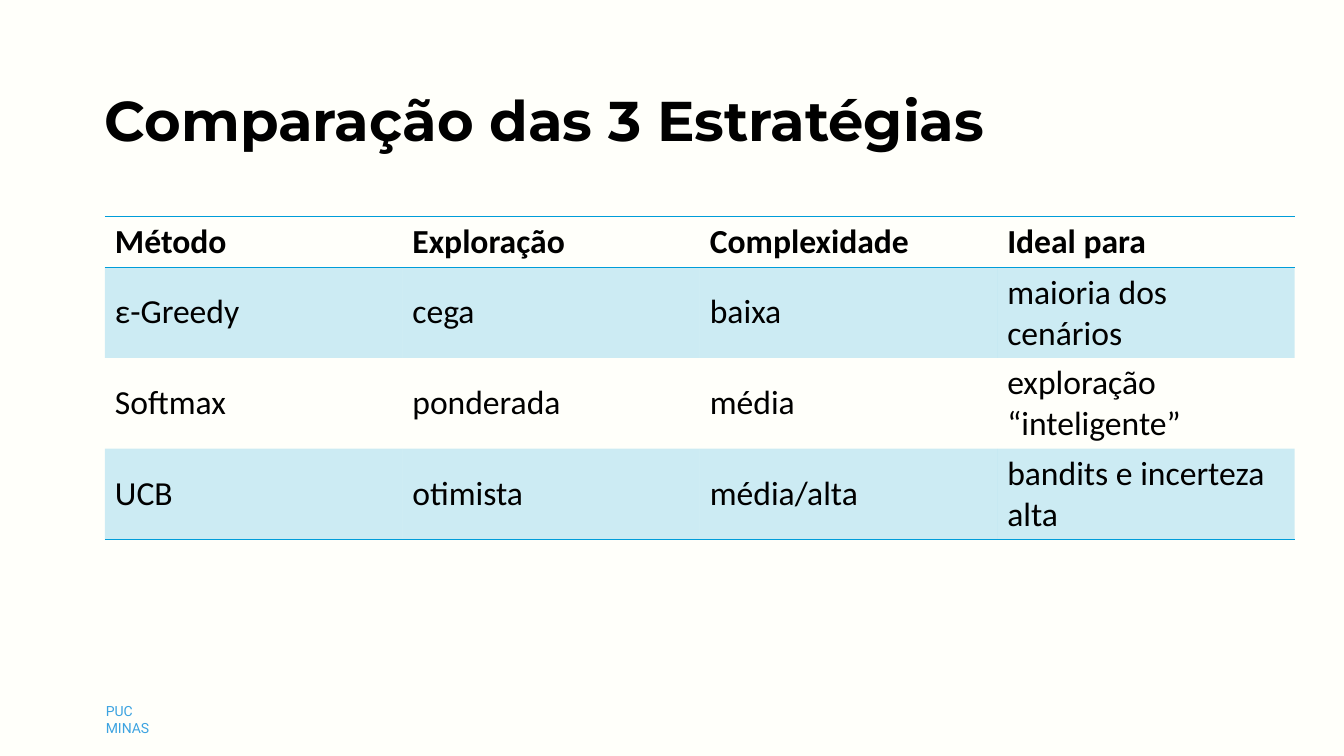
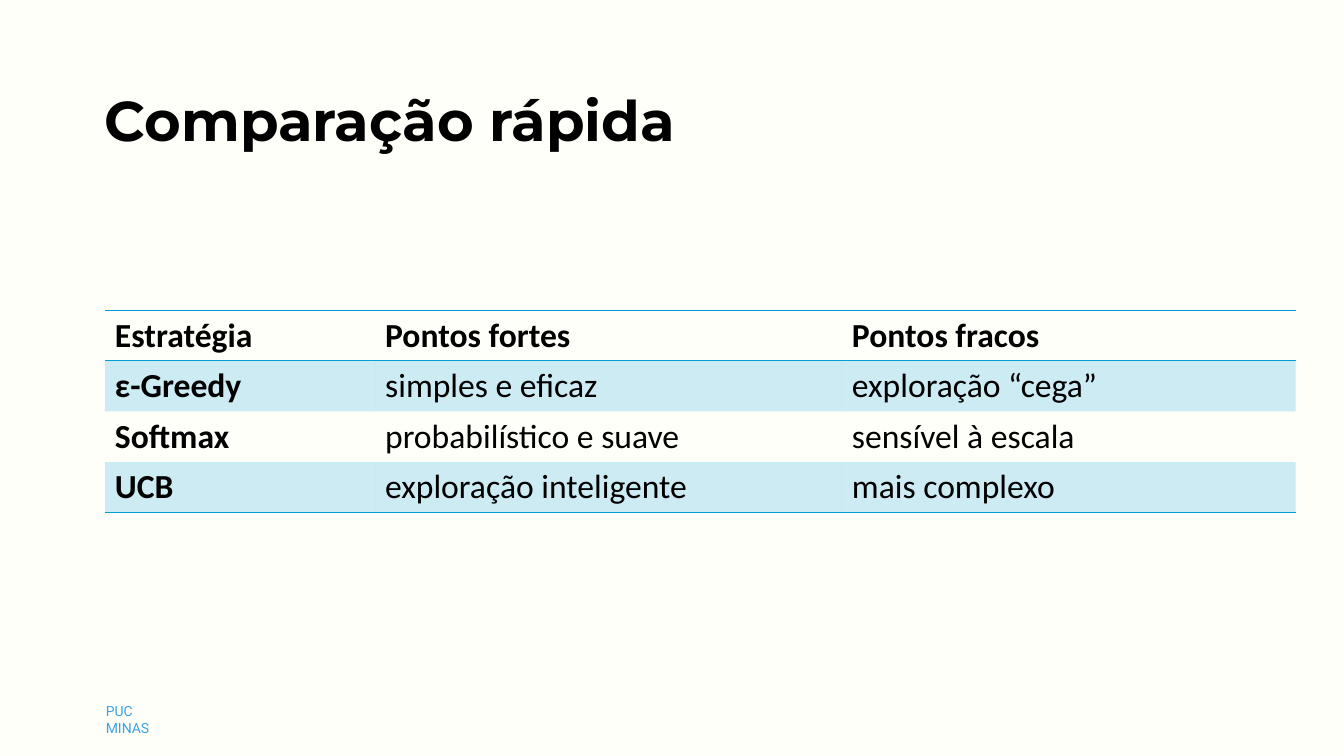
import lxml.etree
import pptx
import pptx.dml.color
import pptx.enum.text
import pptx.oxml.ns
import pptx.util

Inches = pptx.util.Inches
Pt = pptx.util.Pt
qn = pptx.oxml.ns.qn

PAPER = "FFFFFA"
INK = "000000"
ACCENT = "009DD9"
FOOTER = "3CA3E1"
PLAIN_TABLE_STYLE = "{2D5ABB26-0587-4C30-8999-92F81FD0307C}"
TITLE_ONLY = 5


def rgb(hex_color):
    return pptx.dml.color.RGBColor.from_string(hex_color)


class Deck:
    """Holds the presentation, its shared style and the current slide."""

    def __init__(self):
        self.prs = pptx.Presentation()
        self.prs.slide_width = Inches(13.33)
        self.prs.slide_height = Inches(7.5)
        paper = self.prs.slide_master.background.fill
        paper.solid()
        paper.fore_color.rgb = rgb(PAPER)
        self.slide = None

    def add_slide(self, title):
        self.slide = self.prs.slides.add_slide(self.prs.slide_layouts[TITLE_ONLY])
        self.footer("PUC MINAS")
        self.title(title)

    def add_text(self, frame, text, font, size, color, bold=False):
        paragraph = frame.paragraphs[0]
        paragraph.alignment = pptx.enum.text.PP_ALIGN.LEFT
        run = paragraph.add_run()
        run.text = text
        run.font.name = font
        run.font.size = Pt(size)
        run.font.bold = bold
        run.font.color.rgb = rgb(color)

    def title(self, text):
        heading = self.slide.shapes.title
        heading.left, heading.top = Inches(0.94), Inches(0.8)
        heading.width, heading.height = Inches(11.61), Inches(0.77)
        frame = heading.text_frame
        frame.auto_size = pptx.enum.text.MSO_AUTO_SIZE.NONE
        frame.vertical_anchor = pptx.enum.text.MSO_ANCHOR.MIDDLE
        self.add_text(frame, text, "Montserrat", 40, INK, bold=True)

    def footer(self, text):
        frame = self.slide.shapes.add_textbox(
            Inches(1.05), Inches(6.97), Inches(0.66), Inches(0.17)).text_frame
        frame.margin_left = frame.margin_right = 0
        frame.margin_top = frame.margin_bottom = 0
        frame.word_wrap = True
        self.add_text(frame, text, "Roboto", 10, FOOTER)

    def rule(self, cell, edge):
        """Draw a 1 pt line on one edge of a cell: lnT (top) or lnB (bottom)."""
        line = lxml.etree.SubElement(
            cell._tc.get_or_add_tcPr(), qn(f"a:{edge}"), w=str(Pt(1)))
        fill = lxml.etree.SubElement(line, qn("a:solidFill"))
        lxml.etree.SubElement(fill, qn("a:srgbClr"), val=ACCENT)

    def tint(self, cell):
        """Fill a cell with the accent colour at 20 % opacity."""
        cell.fill.solid()
        cell.fill.fore_color.rgb = rgb(ACCENT)
        color = cell._tc.tcPr.find(f"{qn('a:solidFill')}/{qn('a:srgbClr')}")
        lxml.etree.SubElement(color, qn("a:alpha"), val="20000")

    def table(self, top, widths, row_height, rows, bold_first_column=False):
        """Add a ruled table with a header row and tinted odd rows."""
        header_height = 0.5
        height = header_height + row_height * (len(rows) - 1)
        table = self.slide.shapes.add_table(
            len(rows), len(widths), Inches(1.04), Inches(top),
            Inches(sum(widths)), Inches(height)).table
        table._tbl.tblPr.find(qn("a:tableStyleId")).text = PLAIN_TABLE_STYLE
        for column, width in zip(table.columns, widths):
            column.width = Inches(width)
        for r, texts in enumerate(rows):
            is_header = r == 0
            table.rows[r].height = Inches(header_height if is_header else row_height)
            for c, text in enumerate(texts):
                cell = table.cell(r, c)
                cell.vertical_anchor = pptx.enum.text.MSO_ANCHOR.MIDDLE
                bold = is_header or (bold_first_column and c == 0)
                self.add_text(cell.text_frame, text, "Calibri", 24, INK, bold)
                if is_header:
                    self.rule(cell, "lnT")
                if is_header or r == len(rows) - 1:
                    self.rule(cell, "lnB")
                if r % 2:
                    self.tint(cell)
                else:
                    cell.fill.background()


def main():
    deck = Deck()

    deck.add_slide("Comparação das 3 Estratégias")
    deck.table(2.15, [2.95] * 4, 0.9, [
        ["Método", "Exploração", "Complexidade", "Ideal para"],
        ["ε-Greedy", "cega", "baixa", "maioria dos cenários"],
        ["Softmax", "ponderada", "média", "exploração “inteligente”"],
        ["UCB", "otimista", "média/alta", "bandits e incerteza alta"],
    ])

    deck.add_slide("Comparação rápida")
    deck.table(3.08, [2.68, 4.63, 4.5], 0.5, [
        ["Estratégia", "Pontos fortes", "Pontos fracos"],
        ["ε-Greedy", "simples e eficaz", "exploração “cega”"],
        ["Softmax", "probabilístico e suave", "sensível à escala"],
        ["UCB", "exploração inteligente", "mais complexo"],
    ], bold_first_column=True)

    deck.prs.save("out.pptx")


if __name__ == "__main__":
    main()
